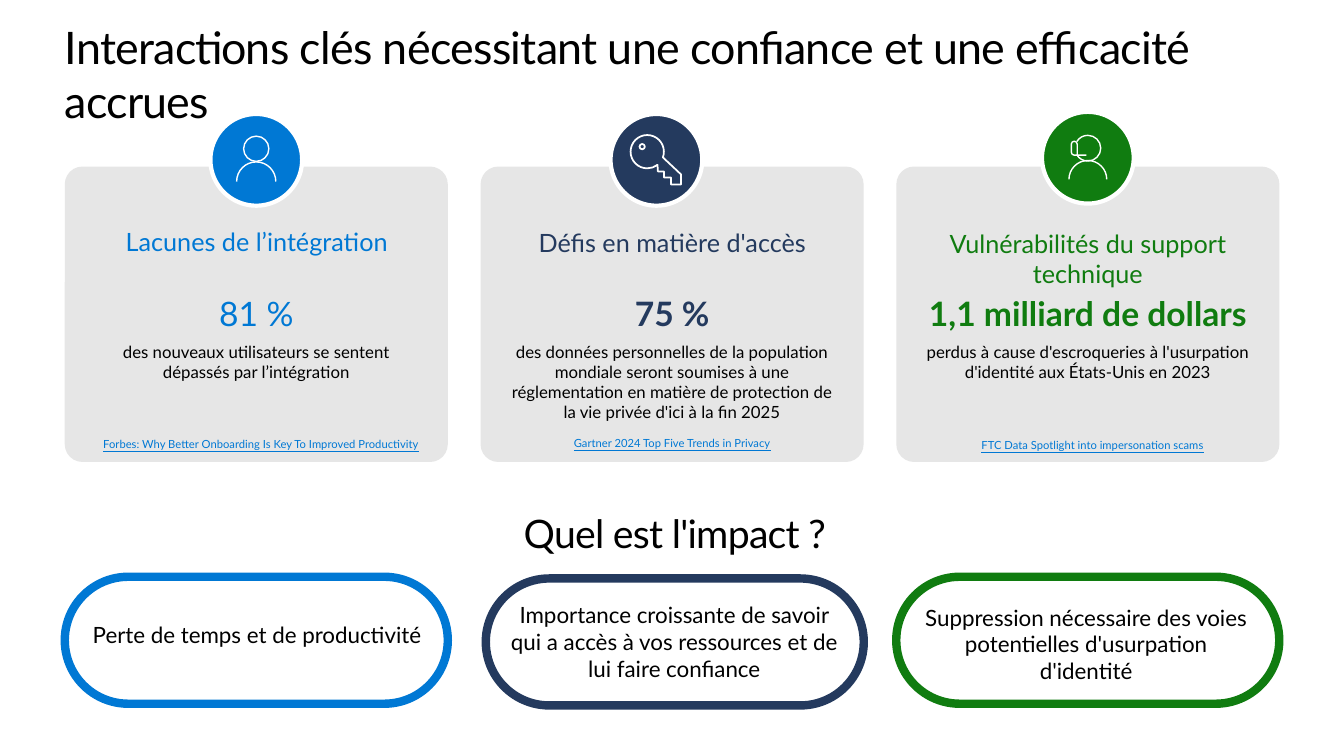
import math
from dataclasses import dataclass
from typing import Callable

from lxml import etree
from pptx import Presentation
from pptx.dml.color import RGBColor
from pptx.enum import shapes, text
from pptx.oxml.ns import qn
from pptx.util import Pt

FONT = "Lato"
BLACK = RGBColor(0x00, 0x00, 0x00)
WHITE = RGBColor(0xFF, 0xFF, 0xFF)
GREY = RGBColor(0xE6, 0xE6, 0xE6)
BLUE = RGBColor(0x00, 0x78, 0xD4)
NAVY = RGBColor(0x24, 0x3A, 0x5E)
GREEN = RGBColor(0x10, 0x7C, 0x10)

COLUMN_LEFT, COLUMN_STEP, CARD_WIDTH = 46.3, 297, 273.6
CARD_TOP, CARD_HEIGHT = 119, 211
BADGE_SIZE = 65.5
PILL_HEIGHT = 90.7


def arc(x, y, radius, start, end):
    """Start point, then one Bezier curve per quadrant, clockwise from the right."""
    low, high = sorted((start, end))
    stops = [low, *(a for a in range(-360, 721, 90) if low < a < high), high]
    stops = [math.radians(a) for a in (stops if start < end else stops[::-1])]

    def place(angle, pull=0):
        return (x + radius * (math.cos(angle) - pull * math.sin(angle)),
                y + radius * (math.sin(angle) + pull * math.cos(angle)))

    segments = [(place(stops[0]),)]
    for first, last in zip(stops, stops[1:]):
        pull = 4 / 3 * math.tan((last - first) / 4)
        segments.append((place(first, pull), place(last, -pull), place(last)))
    return segments


def lines(*points):
    return [(point,) for point in points]


# Each icon is a list of (segments, closed), measured from the badge centre.
def person_icon():
    return [(arc(0, -7.9, 9, 0, 360), True), (arc(0, 15.5, 14, 180, 360), False)]


def key_icon():
    teeth = lines((17.6, 10.4), (17.6, 17.6), (10.4, 17.6), (10.4, 12.6),
                  (5.4, 12.6), (5.4, 8.3), (1.1, 8.3))
    return [(arc(-6.5, -5.8, 11.9, 52, 380) + teeth, True),
            (arc(-10.1, -9.4, 1.9, 0, 360), True)]


def agent_icon():
    headset = (lines((-7.6, -1.8)) + arc(-9.7, -9.7, 2.1, 0, -180)
               + arc(-9.7, -3.9, 2.1, 180, 90) + lines((-1.1, -1.8)))
    return [(arc(0, 15.5, 13.5, 180, 360), False), (headset, False),
            (arc(0, -6.8, 9.2, 149, -149), False)]


@dataclass
class Column:
    color: RGBColor
    heading: str
    heading_place: tuple
    figure: str
    bold: bool
    detail: str
    source: str
    source_at: tuple
    icon: Callable
    icon_line: float
    badge_at: tuple
    impact: str
    impact_place: tuple
    pill_at: tuple


COLUMNS = [
    Column(BLUE, "Lacunes de l’intégration", (3, 158.2, 360.7, 29), "81 %", False,
           "des nouveaux utilisateurs se sentent dépassés par l’intégration",
           "Forbes: Why Better Onboarding Is Key To Improved Productivity",
           (53.3, 308.9), person_icon, 1, (150.3, 81.4),
           "Perte de temps et de productivité", (56.2, 440.2, 254.9, 26.6),
           (46.3, 412, 273.6)),
    Column(NAVY, "Défis en matière d'accès", (285.8, 158.6, 388.8, 29), "75 %", True,
           "des données personnelles de la population mondiale seront soumises à une "
           "réglementation en matière de protection de la vie privée d'ici à la fin 2025",
           "Gartner 2024 Top Five Trends in Privacy",
           (347, 308.2), key_icon, 1.25, (436.1, 81.4),
           "Importance croissante de savoir qui a accès à vos ressources et de lui faire confiance",
           (357.1, 425.8, 249.1, 65.5), (347, 413.2, 270)),
    Column(GREEN, "Vulnérabilités du support technique", (640.3, 159.2, 273.6, 51),
           "1,1 milliard de dollars", True,
           "perdus à cause d'escroqueries à l'usurpation d'identité aux États-Unis en 2023",
           "FTC Data Spotlight into impersonation scams",
           (647.3, 309.6), agent_icon, 1, (744.3, 79.9),
           "Suppression nécessaire des voies potentielles d'usurpation d'identité",
           (648, 427.7, 255.6, 65.5), (640.2, 412, 273.6)),
]


def write(para, words, size, color, bold=False, underline=False, spacing=None,
          align=text.PP_ALIGN.CENTER, after=0):
    para.alignment = align
    para.space_after = Pt(after)
    span = para.add_run()
    span.text = words
    font = span.font
    font.name, font.size, font.bold = FONT, Pt(size), bold
    font.color.rgb = color
    if underline:
        font.underline = True
    if spacing is not None:
        span._r.get_or_add_rPr().set("spc", str(round(spacing * 100)))


def set_frame(frame, left=7.2, top=3.6, right=7.2, bottom=3.6):
    frame.word_wrap = True
    frame.auto_size = text.MSO_AUTO_SIZE.NONE
    frame.vertical_anchor = text.MSO_ANCHOR.TOP
    frame.margin_left, frame.margin_top = Pt(left), Pt(top)
    frame.margin_right, frame.margin_bottom = Pt(right), Pt(bottom)


def add_label(page, place, words, size, color, side_margin=7.2, **style):
    box = page.shapes.add_textbox(*map(Pt, place))
    set_frame(box.text_frame, left=side_margin, right=side_margin)
    write(box.text_frame.paragraphs[0], words, size, color, **style)


def paint(shape, fill, line, weight):
    shape.shadow.inherit = False
    if fill is None:
        shape.fill.background()
    else:
        shape.fill.solid()
        shape.fill.fore_color.rgb = fill
    if line is None:
        shape.line.fill.background()
    else:
        shape.line.color.rgb = line
        shape.line.width = Pt(weight)


def add_plain_shape(owner, kind, place, fill=None, line=None, weight=0):
    shape = owner.shapes.add_shape(kind, *map(Pt, place))
    paint(shape, fill, line, weight)
    return shape


def add_outline(owner, outlines, x, y, weight):
    """Draw open or closed outlines of lines and Bezier curves around (x, y)."""
    def place(point):
        return Pt(x + point[0]), Pt(y + point[1])

    builder, drawn = None, []
    for segments, closed in outlines:
        start, *ends = [place(segment[-1]) for segment in segments]
        if builder is None:
            builder = owner.shapes.build_freeform(*start, scale=1.0)
        else:
            builder.move_to(*start)
        builder.add_line_segments(ends, close=closed)
        drawn += segments[1:]
    shape = builder.convert_to_shape()
    for straight, segment in zip(list(shape._element.iter(qn("a:lnTo"))), drawn):
        if len(segment) == 3:
            curve = etree.Element(qn("a:cubicBezTo"))
            for point in segment:
                left, top = place(point)
                etree.SubElement(curve, qn("a:pt"), x=str(left - shape.left),
                                 y=str(top - shape.top))
            straight.getparent().replace(straight, curve)
    paint(shape, None, WHITE, weight)


def set_title(page, words):
    title = page.shapes.title
    title.left, title.top, title.width, title.height = map(Pt, (46.1, 14.4, 867.6, 77.8))
    set_frame(title.text_frame, 0, 0, 0, 0)
    para = title.text_frame.paragraphs[0]
    para.line_spacing = 1.0
    write(para, words, 32, BLACK, spacing=-0.5, align=text.PP_ALIGN.LEFT)


def add_card(page, left, column):
    card = add_plain_shape(page, shapes.MSO_SHAPE.ROUNDED_RECTANGLE,
                           (left, CARD_TOP, CARD_WIDTH, CARD_HEIGHT), GREY)
    card.adjustments[0] = 0.06
    frame = card.text_frame
    set_frame(frame, 14.4, 86.4, 14.4, 11.5)
    write(frame.paragraphs[0], column.figure, 24, column.color, bold=column.bold, after=6)
    write(frame.add_paragraph(), column.detail, 12, BLACK, after=6)
    add_label(page, column.heading_place, column.heading, 18, column.color, after=6)
    add_label(page, (*column.source_at, 266.4, 17.3), column.source, 8, BLUE,
              side_margin=0, underline=True)


def add_badge(page, column):
    badge = page.shapes.add_group_shape()
    left, top = column.badge_at
    add_plain_shape(badge, shapes.MSO_SHAPE.OVAL, (left, top, BADGE_SIZE, BADGE_SIZE),
                    column.color, WHITE, 3)
    add_outline(badge, column.icon(), left + BADGE_SIZE / 2, top + BADGE_SIZE / 2,
                column.icon_line)


def add_impact(page, column):
    pill = add_plain_shape(page, shapes.MSO_SHAPE.ROUND_2_SAME_RECTANGLE,
                           (*column.pill_at, PILL_HEIGHT), None, column.color, 6)
    pill.adjustments[0] = pill.adjustments[1] = 0.5
    add_label(page, column.impact_place, column.impact, 16, BLACK, after=6)


def main():
    deck = Presentation()
    deck.slide_width, deck.slide_height = Pt(960), Pt(540)
    page = deck.slides.add_slide(deck.slide_layouts[5])
    set_title(page, "Interactions clés nécessitant une confiance et une efficacité accrues")
    for index, column in enumerate(COLUMNS):
        add_card(page, COLUMN_LEFT + index * COLUMN_STEP, column)
        add_badge(page, column)
        add_impact(page, column)
    add_label(page, (216, 360, 532, 41), "Quel est l'impact ?", 28, BLACK, spacing=-0.5)
    deck.save("out.pptx")


if __name__ == "__main__":
    main()
